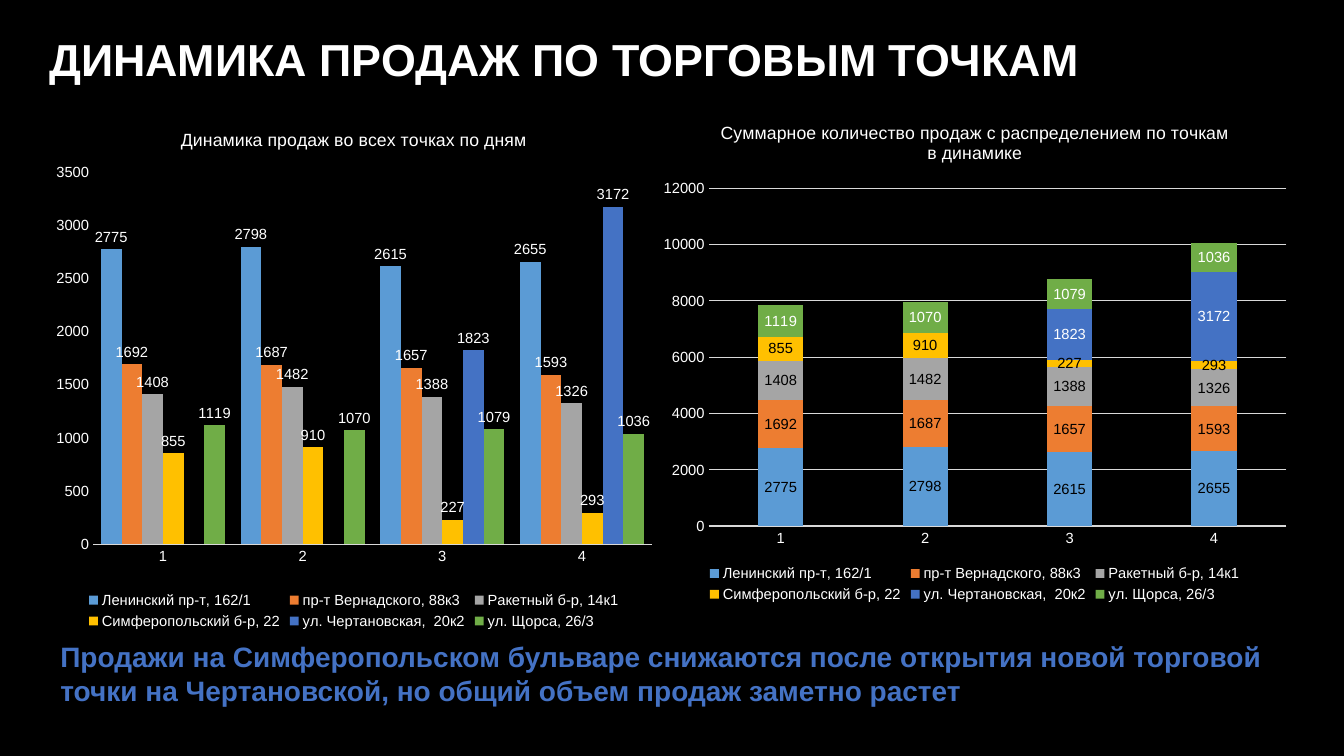
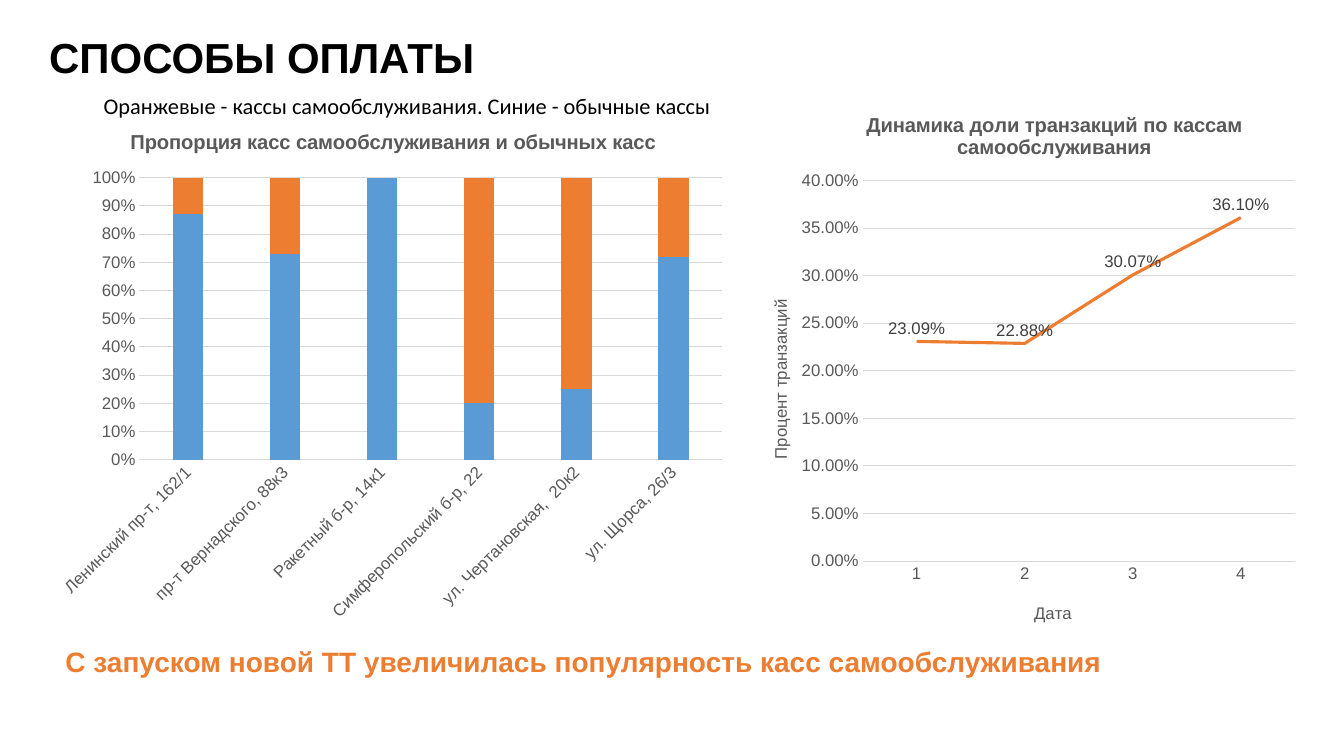
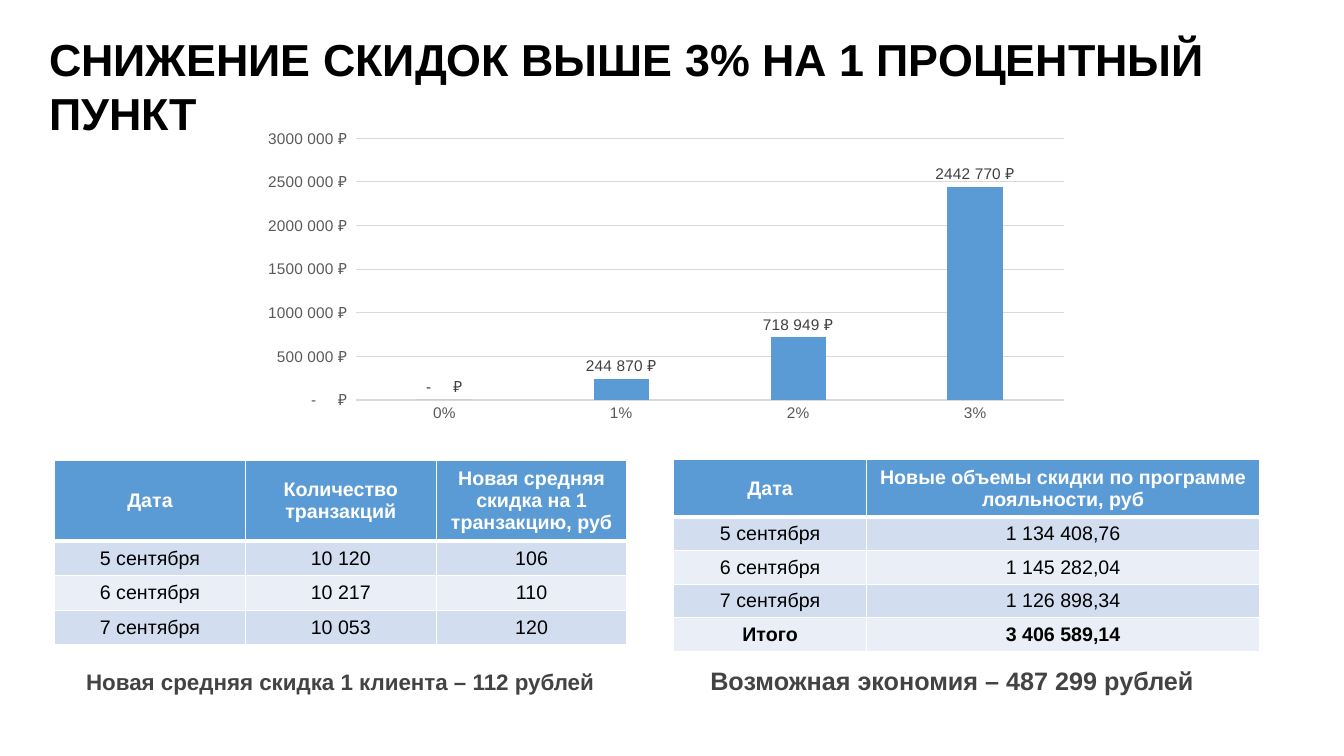
from dataclasses import dataclass
from typing import Any, NamedTuple, Optional

from lxml.etree import SubElement
from pptx import Presentation
from pptx.chart.data import CategoryChartData
from pptx.dml.color import RGBColor
from pptx.enum.chart import (XL_CHART_TYPE, XL_LABEL_POSITION, XL_LEGEND_POSITION,
                             XL_MARKER_STYLE, XL_TICK_MARK)
from pptx.enum.text import MSO_ANCHOR, MSO_AUTO_SIZE, PP_ALIGN
from pptx.oxml import parse_xml
from pptx.oxml.ns import nsdecls, qn
from pptx.util import Pt

HEX = {
    "black": "000000", "white": "FFFFFF", "sky": "5B9BD5", "orange": "ED7D31",
    "gray": "A5A5A5", "gold": "FFC000", "blue": "4472C4", "green": "70AD47",
    "grid": "D9D9D9", "axis": "595959", "label": "404040", "note": "434343",
    "band": "D2DEEF", "pale": "EAEFF7",
}
FACE = "Arial"
SHOPS = ["Ленинский пр-т, 162/1", "пр-т Вернадского, 88к3", "Ракетный б-р, 14к1",
         "Симферопольский б-р, 22", "ул. Чертановская,  20к2", "ул. Щорса, 26/3"]
SALES = [[2775, 2798, 2615, 2655], [1692, 1687, 1657, 1593], [1408, 1482, 1388, 1326],
         [855, 910, 227, 293], [None, None, 1823, 3172], [1119, 1070, 1079, 1036]]
HUES = ["sky", "orange", "gray", "gold", "blue", "green"]
DAYS = ["1", "2", "3", "4"]
RUBLE = r'_-* #\ ##0\ "₽"_-;\-* #\ ##0\ "₽"_-;_-* "-"??\ "₽"_-;_-@_-'


class Box(NamedTuple):
    x: float
    y: float
    w: float
    h: float


class Head(NamedTuple):
    """A chart or axis title; spot is its place as fractions of the chart."""
    text: str
    spot: Optional[tuple[float, float]] = None


class Row(NamedTuple):
    """One chart series; ink is the label colour, None for no labels."""
    name: str
    vals: list
    hue: str
    ink: Optional[str] = None


@dataclass
class Plot:
    kind: Any
    box: Box
    area: Box  # fractions of the chart
    cats: list[str]
    rows: list[Row]
    size: float
    ink: str = "axis"
    title: Optional[Head] = None
    bold: bool = True
    gap: int = 219
    lap: int = 0
    grid: bool = True
    legend: bool = False
    form: str = "General"
    spot: Any = XL_LABEL_POSITION.OUTSIDE_END
    x_head: Optional[Head] = None
    y_head: Optional[Head] = None
    turn: int = 0


@dataclass
class Grid:
    x: float
    y: float
    cols: list[float]
    head: float
    row: float
    cells: list[list[str]]
    total: bool = False


def rgb(name: str) -> RGBColor:
    return RGBColor.from_string(HEX[name])


def style(font: Any, size: float, ink: str, bold: bool = False, face: str = FACE) -> None:
    font.name, font.size, font.bold = face, Pt(size), bold
    font.color.rgb = rgb(ink)


def stroke(line: Any, ink: str, width: float) -> None:
    line.color.rgb = rgb(ink)
    line.width = Pt(width)


def place(node: Any, index: int, **marks: Any) -> None:
    """Give a chart part a manual layout, as the child at index."""
    for old in node.findall(qn("c:layout")):
        node.remove(old)
    layout = parse_xml(f"<c:layout {nsdecls('c')}/>")
    manual = SubElement(layout, qn("c:manualLayout"))
    for tag, val in marks.items():
        SubElement(manual, qn(f"c:{tag}")).set("val", str(val))
    node.insert(index, layout)


def add_text(slide: Any, box: Box, text: str, size: float, ink: str, bold: bool = True,
             face: str = FACE, center: bool = False) -> None:
    frame = slide.shapes.add_textbox(*map(Pt, box)).text_frame
    frame.word_wrap = True
    frame.auto_size = MSO_AUTO_SIZE.SHAPE_TO_FIT_TEXT
    para = frame.paragraphs[0]
    para.text = text
    if center:
        para.alignment = PP_ALIGN.CENTER
        para.line_spacing = 1.15
    style(para.font, size, ink, bold, face)


def add_head(owner: Any, head: Head, size: float, ink: str, bold: bool) -> None:
    """Title a chart or an axis."""
    title = owner.chart_title if hasattr(owner, "chart_title") else owner.axis_title
    title.text_frame.text = head.text
    style(title.text_frame.paragraphs[0].font, size, ink, bold)
    if head.spot:
        x, y = head.spot
        place(title._element, 1, xMode="edge", yMode="edge", x=x, y=y)


def set_axes(chart: Any, plot: Plot) -> None:
    cat, val = chart.category_axis, chart.value_axis
    for axis, head in ((cat, plot.x_head), (val, plot.y_head)):
        axis.major_tick_mark = axis.minor_tick_mark = XL_TICK_MARK.NONE
        style(axis.tick_labels.font, plot.size, plot.ink)
        if head:
            add_head(axis, head, plot.size, plot.ink, False)
    stroke(cat.format.line, "grid", 0.75)
    val.format.line.fill.background()
    val.has_major_gridlines = plot.grid
    if plot.grid:
        stroke(val.major_gridlines.format.line, "grid", 0.75)
    val.tick_labels.number_format = plot.form
    val.tick_labels.number_format_is_linked = False
    if plot.turn:
        body = cat._element.find(qn("c:txPr")).find(qn("a:bodyPr"))
        body.set("rot", str(plot.turn * 60000))
        body.set("vert", "horz")


def paint(series: Any, row: Row, plot: Plot) -> None:
    if plot.kind == XL_CHART_TYPE.LINE:
        series.smooth = False
        series.marker.style = XL_MARKER_STYLE.NONE
        stroke(series.format.line, row.hue, 2.25)
    else:
        series.invert_if_negative = False
        series.format.fill.solid()
        series.format.fill.fore_color.rgb = rgb(row.hue)
    if row.ink:
        labels = series.data_labels
        labels.show_value = True
        labels.position = plot.spot
        labels.number_format = plot.form
        labels.number_format_is_linked = False
        style(labels.font, plot.size, row.ink)


def add_plot(slide: Any, plot: Plot) -> None:
    data = CategoryChartData()
    data.categories = plot.cats
    for row in plot.rows:
        data.add_series(row.name, row.vals)
    chart = slide.shapes.add_chart(plot.kind, *map(Pt, plot.box), data).chart
    style(chart.font, plot.size, plot.ink)
    chart.has_title = plot.title is not None
    if plot.title:
        add_head(chart, plot.title, plot.size * 1.2, plot.ink, plot.bold)
    chart.has_legend = plot.legend
    if plot.legend:
        chart.legend.position = XL_LEGEND_POSITION.BOTTOM
        chart.legend.include_in_layout = False
        style(chart.legend.font, plot.size, plot.ink)
    set_axes(chart, plot)
    group = chart.plots[0]
    group.vary_by_categories = False
    if plot.kind != XL_CHART_TYPE.LINE:
        group.gap_width, group.overlap = plot.gap, plot.lap
    for series, row in zip(group.series, plot.rows):
        paint(series, row, plot)
    place(chart._chartSpace.chart.plotArea, 0, layoutTarget="inner", xMode="edge",
          yMode="edge", **plot.area._asdict())


def edge(cell: Any, top: float, base: float) -> None:
    """Draw white borders; top and base are widths in points."""
    sides = {"lnL": 1, "lnR": 1, "lnT": top, "lnB": base}
    for i, (tag, width) in enumerate(sides.items()):
        cell._tc.get_or_add_tcPr().insert(i, parse_xml(
            f'<a:{tag} {nsdecls("a")} w="{Pt(width)}"><a:solidFill>'
            f'<a:srgbClr val="{HEX["white"]}"/></a:solidFill></a:{tag}>'))


def add_grid(slide: Any, grid: Grid) -> None:
    last = len(grid.cells) - 1
    table = slide.shapes.add_table(
        last + 1, len(grid.cols), Pt(grid.x), Pt(grid.y), Pt(sum(grid.cols)),
        Pt(grid.head + grid.row * last)).table
    for col, width in zip(table.columns, grid.cols):
        col.width = Pt(width)
    for r, texts in enumerate(grid.cells):
        table.rows[r].height = Pt(grid.row if r else grid.head)
        fill = "sky" if r == 0 else "band" if r % 2 else "pale"
        bold = r == 0 or (grid.total and r == last)
        for c, text in enumerate(texts):
            cell = table.cell(r, c)
            cell.fill.solid()
            cell.fill.fore_color.rgb = rgb(fill)
            edge(cell, 3 if r == 1 else 1, 1 if r else 3)
            cell.vertical_anchor = MSO_ANCHOR.MIDDLE
            para = cell.text_frame.paragraphs[0]
            para.text = text
            para.alignment = PP_ALIGN.CENTER
            style(para.font, 14, "black" if r else "white", bold)


def add_slide(deck: Any, title: str, size: float = 32, ground: str = "white",
              ink: str = "black") -> Any:
    slide = deck.slides.add_slide(deck.slide_layouts[6])
    slide.background.fill.solid()
    slide.background.fill.fore_color.rgb = rgb(ground)
    add_text(slide, Box(28, 19, 904, 46), title, size, ink)
    return slide


def sales_slide(deck: Any) -> None:
    slide = add_slide(deck, "ДИНАМИКА ПРОДАЖ ПО ТОРГОВЫМ ТОЧКАМ", ground="black", ink="white")
    shops = list(zip(SHOPS, SALES, HUES))
    add_plot(slide, Plot(
        XL_CHART_TYPE.COLUMN_CLUSTERED, Box(31, 78, 443.5, 374.4),
        Box(0.08, 0.12, 0.9, 0.71), DAYS, [Row(*shop, "white") for shop in shops], 10.5,
        "white", Head("Динамика продаж во всех точках по дням"), bold=False, gap=75,
        grid=False, legend=True))
    add_plot(slide, Plot(
        XL_CHART_TYPE.COLUMN_STACKED, Box(464.4, 73.4, 463.7, 360),
        Box(0.09, 0.17, 0.89, 0.67), DAYS,
        [Row(*shop, "white" if shop[2] in ("blue", "green") else "black") for shop in shops],
        10.5, "white", Head("Суммарное количество продаж с распределением по точкам в динамике"),
        bold=False, lap=100, legend=True, spot=XL_LABEL_POSITION.CENTER))
    add_text(slide, Box(36, 453.6, 904, 55.4),
             "Продажи на Симферопольском бульваре снижаются после открытия новой торговой "
             "точки на Чертановской, но общий объем продаж заметно растет", 20, "blue")


def payment_slide(deck: Any) -> None:
    slide = add_slide(deck, "СПОСОБЫ ОПЛАТЫ", 30)
    add_plot(slide, Plot(
        XL_CHART_TYPE.COLUMN_STACKED_100, Box(36, 78.5, 489.6, 373),
        Box(0.13, 0.13, 0.85, 0.54), SHOPS,
        [Row("Обычные кассы", [87, 73, 100, 20, 25, 72], "sky"),
         Row("Кассы самообслуживания", [13, 27, None, 80, 75, 28], "orange")], 12,
        title=Head("Пропорция касс самообслуживания и обычных касс"), lap=100, form="0%",
        turn=-45))
    add_text(slide, Box(67, 62, 480, 26.6),
             "Оранжевые - кассы самообслуживания. Синие - обычные кассы", 16, "black",
             bold=False, face="Calibri")
    add_plot(slide, Plot(
        XL_CHART_TYPE.LINE, Box(532, 62, 401, 394), Box(0.21, 0.17, 0.77, 0.69), DAYS,
        [Row("Доля транзакций", [0.2309, 0.2288, 0.3007, 0.361], "orange", "label")], 12,
        title=Head("Динамика доли транзакций по кассам самообслуживания", (0.21, 0.04)),
        form="0.00%", spot=XL_LABEL_POSITION.ABOVE, x_head=Head("Дата", (0.51, 0.93)),
        y_head=Head("Процент транзакций", (0.04, 0.38))))
    add_text(slide, Box(39.6, 457, 882, 31.7),
             "С запуском новой ТТ увеличилась популярность касс самообслуживания", 20, "orange")


def discount_slide(deck: Any) -> None:
    slide = add_slide(deck, "СНИЖЕНИЕ СКИДОК ВЫШЕ 3% НА 1 ПРОЦЕНТНЫЙ ПУНКТ")
    add_plot(slide, Plot(
        XL_CHART_TYPE.COLUMN_CLUSTERED, Box(177, 88, 594.7, 217.4),
        Box(0.13, 0.05, 0.85, 0.86), ["0%", "1%", "2%", "3%"],
        [Row("Скидка", [0, 244870, 718949, 2442770], "sky", "label")], 11, lap=-27,
        form=RUBLE))
    add_grid(slide, Grid(39, 329, [136.3] * 3, 57.2, 24.7, [
        ["Дата", "Количество транзакций", "Новая средняя скидка на 1 транзакцию, руб"],
        ["5 сентября", "10 120", "106"],
        ["6 сентября", "10 217", "110"],
        ["7 сентября", "10 053", "120"]]))
    add_grid(slide, Grid(481, 328.3, [138.2, 280.4], 40.8, 24, [
        ["Дата", "Новые объемы скидки по программе лояльности, руб"],
        ["5 сентября", "1 134 408,76"],
        ["6 сентября", "1 145 282,04"],
        ["7 сентября", "1 126 898,34"],
        ["Итого", "3 406 589,14"]], total=True))
    add_text(slide, Box(39, 471, 408, 29.5), "Новая средняя скидка 1 клиента – 112 рублей",
             16, "note", center=True)
    add_text(slide, Box(476, 468.7, 408, 32.4), "Возможная экономия – 487 299 рублей",
             18, "note", center=True)


def main() -> None:
    deck = Presentation()
    deck.slide_width, deck.slide_height = Pt(960), Pt(540)
    for build in (sales_slide, payment_slide, discount_slide):
        build(deck)
    deck.save("out.pptx")


if __name__ == "__main__":
    main()
